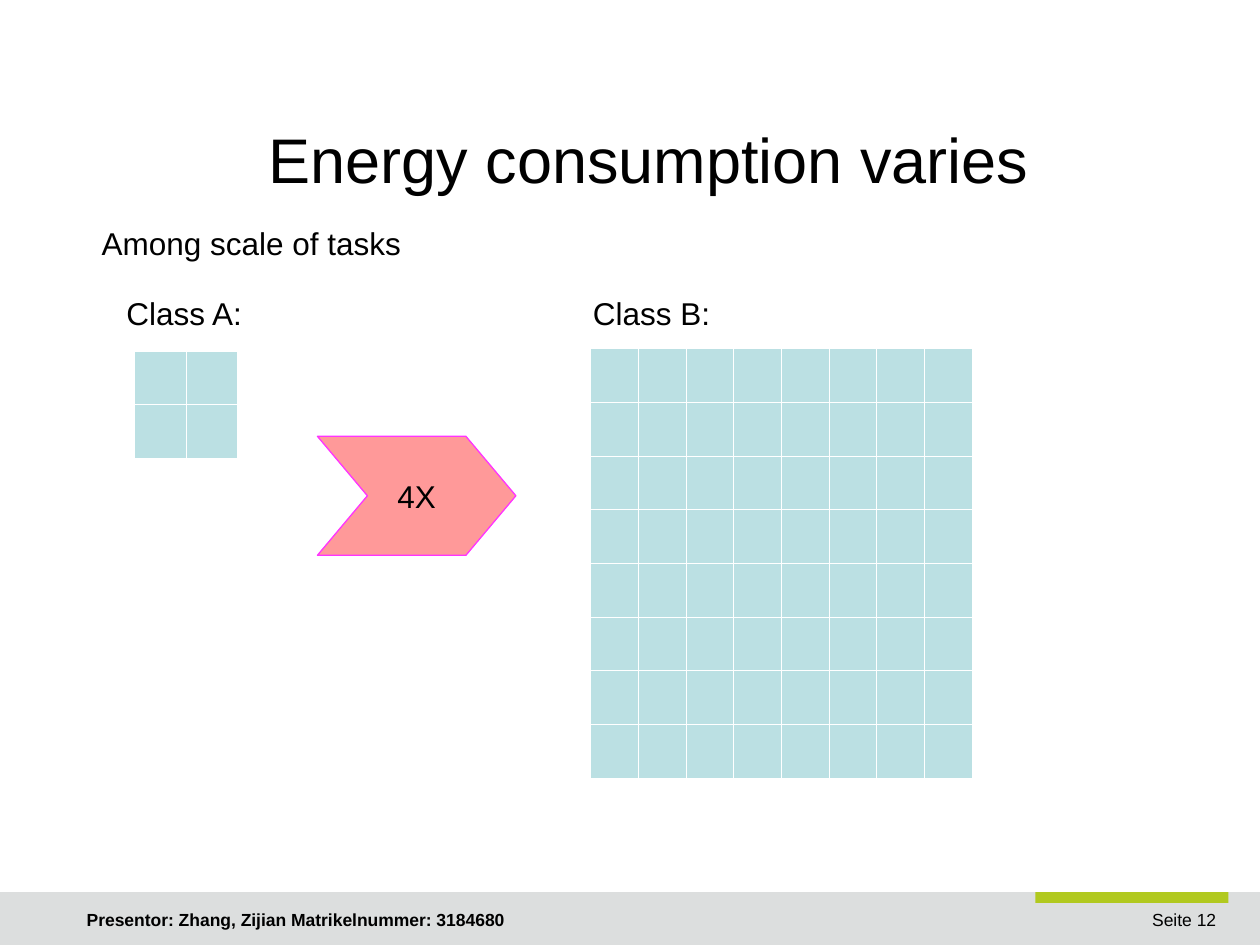
from dataclasses import dataclass

from lxml.etree import SubElement
from pptx import Presentation
from pptx.dml.color import RGBColor
from pptx.enum.shapes import MSO_SHAPE as Preset
from pptx.enum.text import MSO_ANCHOR as Anchor, PP_ALIGN as Align
from pptx.oxml.ns import qn
from pptx.util import Pt

FONT = "Arial"
BLACK, WHITE = "000000", "FFFFFF"
GREY, GREEN, TEAL = "DCDEDE", "B1C91F", "BBE0E3"
ROSE, MAGENTA = "FF9999", "FF33FF"


@dataclass
class Box:
    left: float
    top: float
    width: float
    height: float

    def lengths(self) -> tuple:
        return Pt(self.left), Pt(self.top), Pt(self.width), Pt(self.height)


@dataclass
class Label:
    text: str
    box: Box
    size: float = 18
    bold: bool = False
    align: Align = Align.LEFT


@dataclass
class TaskGrid:
    count: int  # cells along each side
    box: Box


def rgb(hex_color: str) -> RGBColor:
    return RGBColor.from_string(hex_color)


def write(frame, text: str, size: float, bold: bool, align: Align) -> None:
    paragraph = frame.paragraphs[0]
    paragraph.alignment = align
    run = paragraph.add_run()
    run.text = text
    run.font.name = FONT
    run.font.size = Pt(size)
    run.font.bold = bold
    run.font.color.rgb = rgb(BLACK)


def draw_label(slide, label: Label) -> None:
    frame = slide.shapes.add_textbox(*label.box.lengths()).text_frame
    frame.word_wrap = True
    write(frame, label.text, label.size, label.bold, label.align)


def draw_shape(slide, preset: Preset, box: Box, fill: str):
    shape = slide.shapes.add_shape(preset, *box.lengths())
    shape.shadow.inherit = False
    shape.fill.solid()
    shape.fill.fore_color.rgb = rgb(fill)
    shape.line.fill.background()
    return shape


def style_cell(cell) -> None:
    properties = cell._tc.get_or_add_tcPr()
    for side in ("a:lnL", "a:lnR", "a:lnT", "a:lnB"):
        border = SubElement(properties, qn(side), w=str(Pt(0.06)))
        SubElement(SubElement(border, qn("a:solidFill")), qn("a:srgbClr"), val=WHITE)
    cell.fill.solid()
    cell.fill.fore_color.rgb = rgb(TEAL)


def draw_grid(slide, grid: TaskGrid) -> None:
    table = slide.shapes.add_table(grid.count, grid.count, *grid.box.lengths()).table
    table.first_row = table.horz_banding = False
    for column in table.columns:
        column.width = Pt(grid.box.width / grid.count)
    for row in table.rows:
        row.height = Pt(grid.box.height / grid.count)
    for cell in table.iter_cells():
        style_cell(cell)


LABELS = [
    Label("Seite 12", Box(561.6, 516, 140.4, 24), 10, align=Align.RIGHT),
    Label("Presentor: Zhang, Zijian Matrikelnummer: 3184680",
          Box(42.5, 516, 524, 24), 10, bold=True),
    Label("Energy consumption varies", Box(39.6, 65.5, 662.4, 65.5), 36,
          align=Align.CENTER),
    Label("Among scale of tasks", Box(51, 124.6, 232.6, 28)),
    Label("Class A:", Box(65.2, 164.4, 84, 27.5)),
    Label("Class B:", Box(331.7, 164.4, 84, 27.5)),
]
GRIDS = [
    TaskGrid(2, Box(76.8, 200.6, 59, 61)),
    TaskGrid(8, Box(337.4, 199.1, 218, 245.4)),
]


def main() -> None:
    prs = Presentation()
    prs.slide_width, prs.slide_height = Pt(720), Pt(540)
    slide = prs.slides.add_slide(prs.slide_layouts[6])

    # Footer band with accent
    draw_shape(slide, Preset.RECTANGLE, Box(0, 509.8, 720, 30.2), GREY)
    draw_shape(slide, Preset.RECTANGLE, Box(591.6, 509.8, 110.4, 6.2), GREEN)

    # Title, class names and footer text
    for label in LABELS:
        draw_label(slide, label)

    # Task grids of class A and class B
    for grid in GRIDS:
        draw_grid(slide, grid)

    # Growth from class A to class B
    growth = draw_shape(slide, Preset.CHEVRON, Box(181.4, 249.3, 113.4, 68), ROSE)
    growth.adjustments[0] = 0.42
    growth.line.color.rgb = rgb(MAGENTA)
    growth.line.width = Pt(0)
    growth.text_frame.vertical_anchor = Anchor.MIDDLE
    write(growth.text_frame, "4X", 18, False, Align.CENTER)

    prs.save("out.pptx")


if __name__ == "__main__":
    main()
